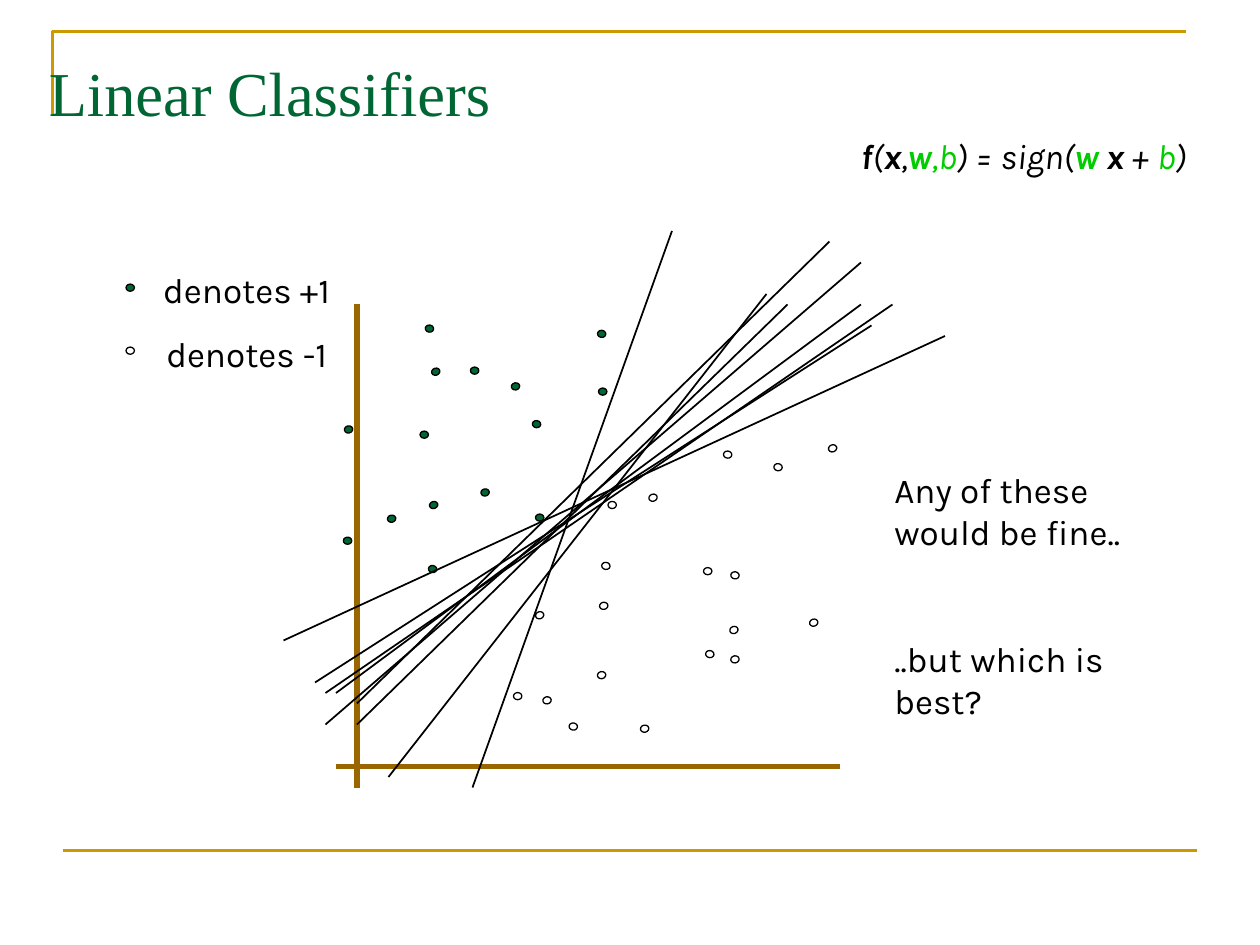
from dataclasses import dataclass
from pptx import Presentation
from pptx.dml.color import RGBColor as Rgb
from pptx.enum.shapes import MSO_CONNECTOR as Link, MSO_SHAPE as Form
from pptx.enum.text import MSO_ANCHOR as Anchor, PP_ALIGN as Align
from pptx.oxml.ns import qn
from pptx.util import Inches, Pt
from lxml.etree import SubElement

COLS, ROWS = 120, 90
CELL = Inches(10) / COLS


@dataclass(frozen=True)
class Theme:
    """Colours, fonts and sizes of the slide."""
    ink: str = "000000"
    paper: str = "FFFFFF"
    gold: str = "CC9900"
    brown: str = "996600"
    green: str = "006633"
    lime: str = "00CC00"
    head: str = "Times New Roman"
    body: str = "Karla"
    big: float = 35.7
    mid: float = 20
    gap: float = 12.5


@dataclass(frozen=True)
class Box:
    """A region in grid cells."""
    x: float
    y: float
    w: float
    h: float

    def spot(self, col, row):
        """Turn a cell of this region into slide lengths."""
        return round((self.x + col) * CELL), round((self.y + row) * CELL)


LOOK = Theme()

CUTS = [(18, 53, 37, 0), (3, 43, 56, 9), (7, 47, 48, 7),
        (0, 39, 63, 10), (5, 44, 55, 7), (4, 47, 55, 3),
        (7, 45, 52, 1), (10, 52, 46, 6), (4, 44, 58, 7)]
AXES = [(7, 7, 7, 53), (5, 51, 53, 51)]
PLUS = {
    0: [(6.1, 29.5), (30.4, 15.3), (18.2, 13.3), (24.4, 27.3), (13.4, 19.4)],
    -18.6: [(14.5, 13.4), (14.3, 26.1)],
    8.2: [(24.1, 18.4), (14.2, 32.2), (30.3, 9.8), (13.9, 9.3)],
    -10.4: [(19.2, 24.9), (10.3, 27.4), (22.1, 14.8), (6.2, 18.9)],
}
MINUS = {
    0: [(22.3, 44.3), (31.3, 26.1), (40.4, 32.4)],
    -18.6: [(24.4, 36.6), (52.3, 20.7), (42.9, 38), (35.2, 25.4),
            (50.5, 37.3)],
    8.2: [(27.6, 47.2), (43, 32.8), (30.7, 31.9), (47.1, 22.5),
          (42.3, 21.3), (40.6, 40.3)],
    -10.4: [(34.4, 47.4), (30.3, 42.3), (30.5, 35.7), (25.1, 44.7),
            (43, 40.8)],
}


def tint(hue):
    """Give the colour object of a hex string."""
    return Rgb.from_string(hue)


def write(slide, box, text, font=LOOK.body, size=LOOK.mid, hue=LOOK.ink,
          align=Align.LEFT, anchor=Anchor.TOP, gaps=(), lead=None,
          slant=None):
    """Place paragraphs, each a string or a list of (text, bold, hue) runs."""
    pane = slide.shapes.add_textbox(
        *box.spot(0, 0), round(box.w * CELL), round(box.h * CELL))
    frame = pane.text_frame
    frame.word_wrap = True
    frame.vertical_anchor = anchor
    for at, item in enumerate(text):
        para = frame.add_paragraph() if at else frame.paragraphs[0]
        para.alignment = align
        para.line_spacing = lead
        if gaps:
            para.space_before = Pt(gaps[at])
        runs = [(item, None, hue)] if isinstance(item, str) else item
        for words, bold, shade in runs:
            run = para.add_run()
            run.text = words
            run.font.name = font
            run.font.size = Pt(size)
            run.font.bold = bold
            run.font.italic = slant
            run.font.color.rgb = tint(shade)


def rule(slide, box, ends, hue, width):
    """Draw a straight line between two cells of a region."""
    line = slide.shapes.add_connector(
        Link.STRAIGHT, *box.spot(*ends[:2]), *box.spot(*ends[2:]))
    line.line.color.rgb = tint(hue)
    line.line.width = Pt(width)
    SubElement(line._element.spPr, qn("a:effectLst"))


def dot(slide, box, col, row, hue, tilt=0):
    """Draw a data point centred on a cell of a region."""
    wide, high = 0.8, 0.68
    mark = slide.shapes.add_shape(
        Form.OVAL, *box.spot(col - wide / 2, row - high / 2),
        round(wide * CELL), round(high * CELL))
    mark.rotation = tilt
    mark.shadow.inherit = False
    mark.fill.solid()
    mark.fill.fore_color.rgb = tint(hue)
    mark.line.color.rgb = tint(LOOK.ink)
    mark.line.width = Pt(0.75)


def border(slide, box):
    """Draw the gold corner at the top and the rule at the foot."""
    pen = slide.shapes.build_freeform(*box.spot(0, 8))
    pen.add_line_segments([box.spot(0, 0), box.spot(108, 0)], close=False)
    edge = pen.convert_to_shape()
    edge.shadow.inherit = False
    edge.fill.background()
    edge.line.color.rgb = tint(LOOK.gold)
    edge.line.width = Pt(1.5)
    rule(slide, box, (1, box.h, box.w, box.h), LOOK.gold, 1.5)


def title(slide, box):
    """Write the heading."""
    write(slide, box, [" Linear Classifiers"], font=LOOK.head, size=LOOK.big,
          hue=LOOK.green, anchor=Anchor.BOTTOM, lead=0.9)


def legend(slide, box):
    """Explain the two kinds of point."""
    write(slide, box, ["denotes +1", "denotes -1"], align=Align.CENTER,
          gaps=(LOOK.gap, LOOK.gap))
    for row, hue in ((2.4, LOOK.green), (8.4, LOOK.paper)):
        dot(slide, box, 1.4, row, hue)


def rival(slide, box):
    """Draw the axes, the points and the rival boundaries."""
    for ends in AXES:
        rule(slide, box, ends, LOOK.brown, 3)
    for group, hue in ((PLUS, LOOK.green), (MINUS, LOOK.paper)):
        for tilt, spots in group.items():
            for col, row in spots:
                dot(slide, box, col, row, hue, tilt)
    for ends in CUTS:
        rule(slide, box, ends, LOOK.ink, 1)


def formula(slide, box):
    """Write the decision function."""
    ink, lime = LOOK.ink, LOOK.lime
    runs = [("f", True, ink), ("(", False, ink), ("x", True, ink),
            (",", False, ink), ("w", True, lime), (",b", False, lime),
            (") = sign(", False, ink), ("w", True, lime), (" x ", True, ink),
            ("+ ", False, ink), ("b", False, lime), (")", False, ink)]
    write(slide, box, [runs], align=Align.CENTER, gaps=(LOOK.gap,),
          slant=True)


def remark(slide, box):
    """Write the closing question beside the plot."""
    write(slide, box, ["Any of these would be fine..", "..but which is best?"],
          gaps=(LOOK.gap, 49))


def main():
    """Build and save the slide."""
    deck = Presentation()
    deck.slide_width = round(COLS * CELL)
    deck.slide_height = round(ROWS * CELL)
    slide = deck.slides.add_slide(deck.slide_layouts[6])
    border(slide, Box(5, 3, 109, 78))
    title(slide, Box(2, 4, 61, 9))
    legend(slide, Box(11, 25, 25, 11.3))
    rival(slide, Box(27, 22, 63, 53))
    formula(slide, Box(76.5, 12.2, 42, 5.3))
    remark(slide, Box(84, 44, 29, 25.4))
    deck.save("out.pptx")


if __name__ == "__main__":
    main()
